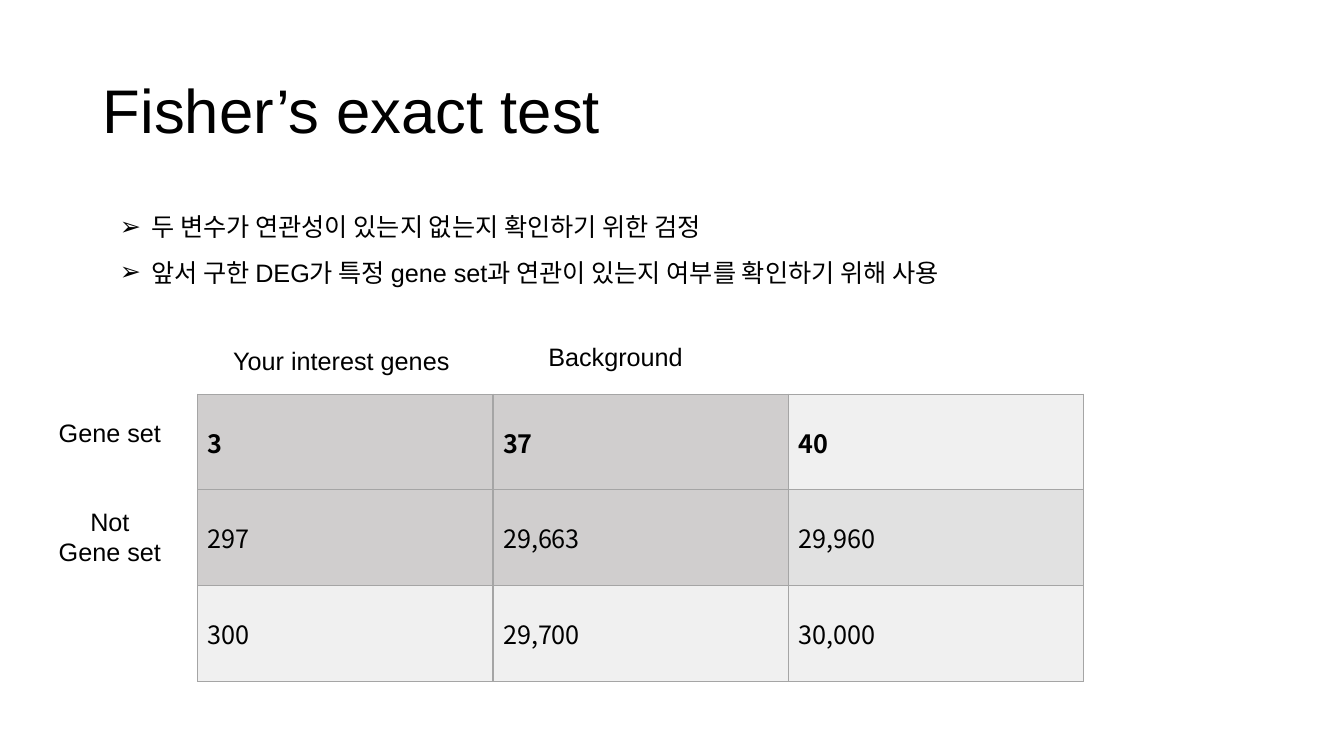
from lxml import etree
from pptx import Presentation
from pptx.dml.color import RGBColor
from pptx.enum.text import MSO_ANCHOR, MSO_AUTO_SIZE, PP_ALIGN
from pptx.oxml.ns import qn
from pptx.util import Inches, Pt

# Content
TITLE = "Fisher’s exact test"
BULLETS = [
    "두 변수가 연관성이 있는지 없는지 확인하기 위한 검정",
    "앞서 구한 DEG가 특정 gene set과 연관이 있는지 여부를 확인하기 위해 사용",
]
COUNTS = [
    ["3", "37", "40"],
    ["297", "29,663", "29,960"],
    ["300", "29,700", "30,000"],
]
LABELS = [  # text, left, top, width, height
    ("Gene set", 0.32, 4.09, 1.54, 0.4),
    ("Not\nGene set", 0.32, 4.97, 1.54, 0.71),
    ("Your interest genes", 2.09, 3.38, 2.59, 0.4),
    ("Background", 4.81, 3.34, 2.59, 0.4),
]

# Style
BLACK = RGBColor(0x00, 0x00, 0x00)
OBSERVED = RGBColor(0xD0, 0xCE, 0xCE)
TOTAL = RGBColor(0xF0, 0xF0, 0xF0)
TOTAL_BAND = RGBColor(0xE1, 0xE1, 0xE1)
BORDER = RGBColor(0xA5, 0xA5, 0xA5)
LATIN_FONT = "Arial"
KOREAN_FONT = "Noto Sans CJK KR"
MIDDLE, TOP = MSO_ANCHOR.MIDDLE, MSO_ANCHOR.TOP
LEFT, CENTER = PP_ALIGN.LEFT, PP_ALIGN.CENTER
NO_FIT = MSO_AUTO_SIZE.NONE
FIT_SHAPE = MSO_AUTO_SIZE.SHAPE_TO_FIT_TEXT

TABLE_LEFT, TABLE_TOP = 1.96, 3.91
COLUMN_WIDTH, ROW_HEIGHT = 2.93, 0.95


def place(shape, left, top, width, height):
    shape.left, shape.top = Inches(left), Inches(top)
    shape.width, shape.height = Inches(width), Inches(height)


def format_text(text_frame, size=18, font=LATIN_FONT, bold=False, align=LEFT):
    for paragraph in text_frame.paragraphs:
        paragraph.alignment = align
        for run in paragraph.runs:
            run.font.size = Pt(size)
            run.font.name = font
            run.font.bold = bold
            run.font.color.rgb = BLACK
            east_asian = etree.Element(qn("a:ea"), typeface=KOREAN_FONT)
            run.font._element.find(qn("a:latin")).addnext(east_asian)


def add_bullet(paragraph):
    properties = paragraph._p.get_or_add_pPr()
    properties.set("marL", str(Inches(0.31)))
    properties.set("indent", str(Inches(-0.31)))
    etree.SubElement(properties, qn("a:buFont"), typeface=LATIN_FONT)
    etree.SubElement(properties, qn("a:buChar"), char="➢")


def add_borders(cell):
    properties = cell._tc.get_or_add_tcPr()
    for side in ("lnL", "lnR", "lnT", "lnB"):
        line = etree.SubElement(properties, qn(f"a:{side}"), w=str(Pt(1)))
        fill = etree.SubElement(line, qn("a:solidFill"))
        etree.SubElement(fill, qn("a:srgbClr"), val=str(BORDER))


def count_fill(row, column):
    if row < 2 and column < 2:
        return OBSERVED
    return TOTAL_BAND if row == 1 else TOTAL


presentation = Presentation()
presentation.slide_width = Inches(13.33)
presentation.slide_height = Inches(7.5)
slide = presentation.slides.add_slide(presentation.slide_layouts[1])

# Title
title = slide.shapes.title
place(title, 0.92, 0.4, 11.5, 1.45)
title.text_frame.text = TITLE
title.text_frame.auto_size = NO_FIT
title.text_frame.vertical_anchor = MIDDLE
title.text_frame.paragraphs[0].line_spacing = 0.9
format_text(title.text_frame, size=44)

# Bullet list
body = slide.placeholders[1]
place(body, 1.09, 1.9, 12.58, 1.31)
body.text_frame.text = "\n".join(BULLETS)
body.text_frame.auto_size = FIT_SHAPE
body.text_frame.vertical_anchor = TOP
format_text(body.text_frame)
for paragraph in body.text_frame.paragraphs:
    paragraph.line_spacing = 1.5
    paragraph.space_before = Pt(0)
    add_bullet(paragraph)

# Contingency table
row_count, column_count = len(COUNTS), len(COUNTS[0])
table = slide.shapes.add_table(
    row_count, column_count, Inches(TABLE_LEFT), Inches(TABLE_TOP),
    Inches(COLUMN_WIDTH * column_count), Inches(ROW_HEIGHT * row_count),
).table
for column in table.columns:
    column.width = Inches(COLUMN_WIDTH)
for row in table.rows:
    row.height = Inches(ROW_HEIGHT)
for row_index, row_counts in enumerate(COUNTS):
    for column_index, count in enumerate(row_counts):
        cell = table.cell(row_index, column_index)
        cell.text_frame.text = count
        cell.vertical_anchor = MIDDLE
        format_text(cell.text_frame, font=KOREAN_FONT, bold=row_index == 0)
        add_borders(cell)
        cell.fill.solid()
        cell.fill.fore_color.rgb = count_fill(row_index, column_index)

# Row and column labels
for text, *box in LABELS:
    label = slide.shapes.add_textbox(*map(Inches, box))
    label.text_frame.text = text
    label.text_frame.word_wrap = True
    label.text_frame.auto_size = FIT_SHAPE
    format_text(label.text_frame, align=CENTER)

presentation.save("out.pptx")
